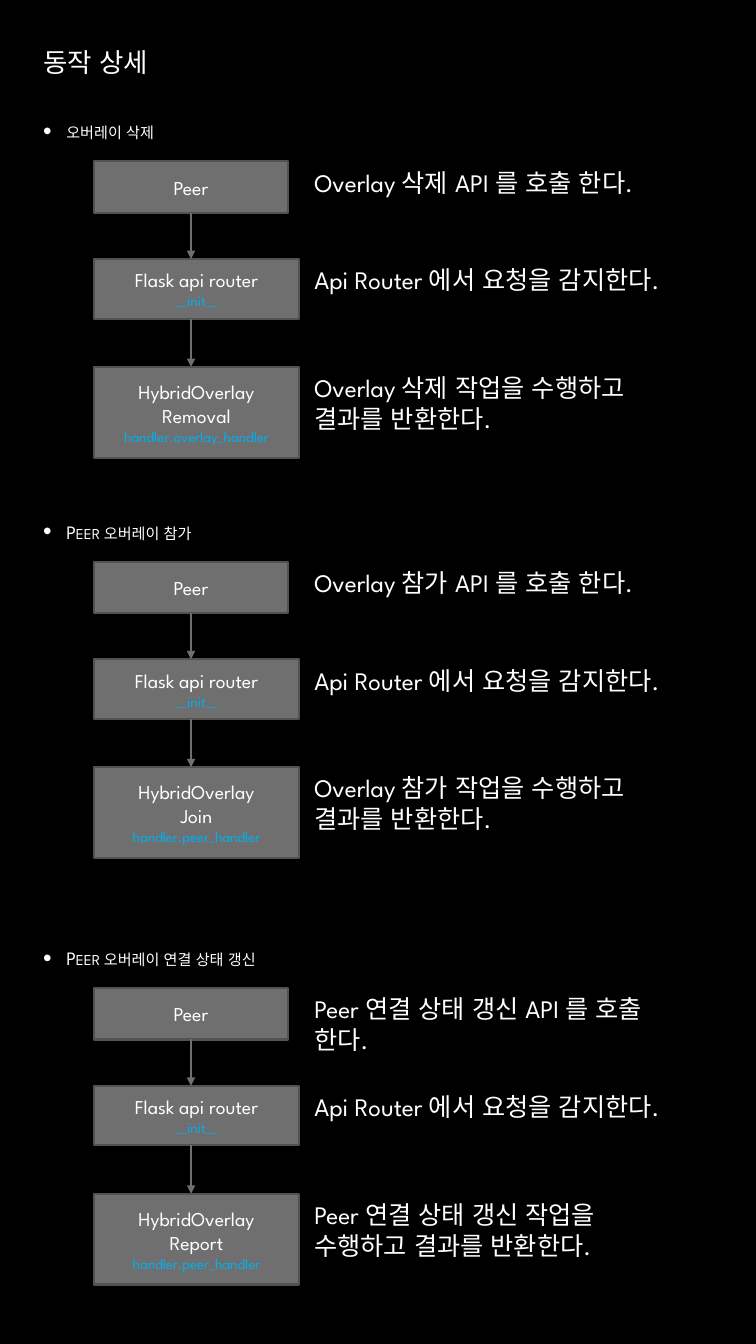
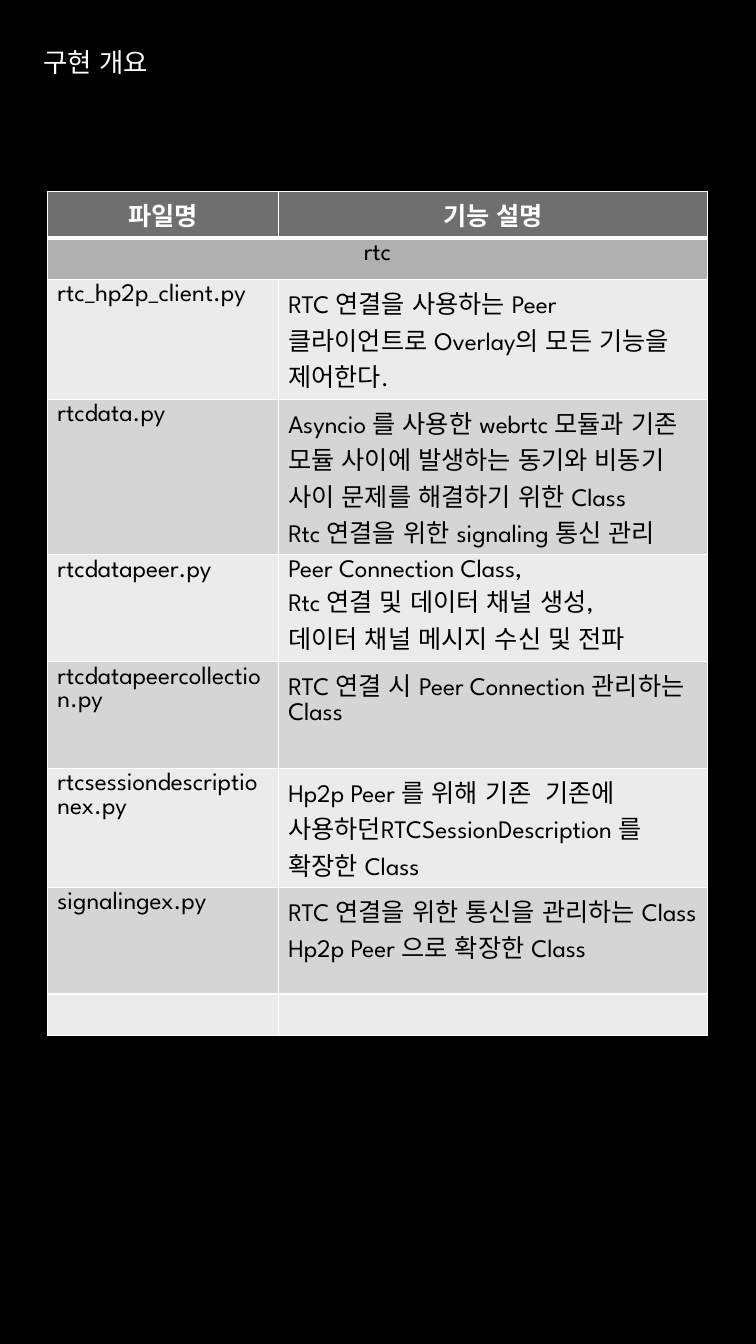
import dataclasses

import pptx
import pptx.dml.color
import pptx.enum.dml
import pptx.enum.lang
import pptx.enum.shapes
import pptx.enum.text
import pptx.oxml
import pptx.oxml.ns
import pptx.util

LATIN = "League Spartan"
KOREAN = "Noto Sans CJK KR"
WHITE, BLACK, GRAY, EDGE, CYAN = "FFFFFF", "000000", "6F6F6F", "525252", "00B0F0"
BAND_FILLS = ("EBEBEB", "D5D5D5")
SIDE, CONTENT_WIDTH = 0.33, 6.86
BOX_LEFT, NOTE_LEFT = 0.93, 3.02
PEER_WIDTH, BOX_WIDTH, NOTE_WIDTH = 1.93, 2.04, 3.95
ARROW_X = BOX_LEFT + PEER_WIDTH / 2
LINE_FACTOR = 1.22
HEADER_HEIGHT, ROW_HEIGHT = 0.46, 0.41
ALIGN = pptx.enum.text.PP_ALIGN
ANCHOR = pptx.enum.text.MSO_ANCHOR


@dataclasses.dataclass(frozen=True)
class Section:
    top: float
    heading: str
    action: str
    module: str
    call: str
    result: str


@dataclasses.dataclass(frozen=True)
class Step:
    offset: float
    width: float
    height: float
    labels: tuple[str, ...]
    module: str
    note: str


@dataclasses.dataclass(frozen=True)
class FileRow:
    name: str
    purposes: tuple[str, ...]
    height: float = ROW_HEIGHT


SECTIONS = (
    Section(1.14, "오버레이 삭제", "Removal", "handler.overlay_handler",
            "Overlay 삭제 API 를 호출 한다.", "Overlay 삭제 작업을 수행하고 결과를 반환한다."),
    Section(5.11, "Peer 오버레이 참가", "Join", "handler.peer_handler",
            "Overlay 참가 API 를 호출 한다.", "Overlay 참가 작업을 수행하고 결과를 반환한다."),
    Section(9.34, "Peer 오버레이 연결 상태 갱신", "Report", "handler.peer_handler",
            "Peer 연결 상태 갱신 API 를 호출 한다.",
            "Peer 연결 상태 갱신 작업을 수행하고 결과를 반환한다."),
)

FILES = (
    FileRow("rtc_hp2p_client.py",
            ("RTC 연결을 사용하는 Peer 클라이언트로 Overlay의 모든 기능을 제어한다.",), 1.19),
    FileRow("rtcdata.py",
            ("Asyncio 를 사용한 webrtc 모듈과 기존 모듈 사이에 발생하는 동기와 비동기 "
             "사이 문제를 해결하기 위한 Class",
             "Rtc 연결을 위한 signaling 통신 관리"), 1.54),
    FileRow("rtcdatapeer.py",
            ("Peer Connection Class,", "Rtc 연결 및 데이터 채널 생성,",
             "데이터 채널 메시지 수신 및 전파"), 1.06),
    FileRow("rtcdatapeercollection.py",
            ("RTC 연결 시 Peer Connection 관리하는 Class",), 1.06),
    FileRow("rtcsessiondescriptionex.py",
            ("Hp2p Peer 를 위해 기존  기존에 사용하던RTCSessionDescription 를 확장한 Class",),
            1.18),
    FileRow("signalingex.py",
            ("RTC 연결을 위한 통신을 관리하는 Class", "Hp2p Peer 으로 확장한 Class"), 1.06),
    FileRow("", ()),
)


def inches(value: float) -> pptx.util.Length:
    return pptx.util.Inches(value)


def points(value: float) -> pptx.util.Length:
    return pptx.util.Pt(value)


def color(value: str) -> pptx.dml.color.RGBColor:
    return pptx.dml.color.RGBColor.from_string(value)


def add_xml(parent, tag: str, **attributes: str):
    child = parent.makeelement(pptx.oxml.ns.qn(tag), attributes)
    parent.append(child)
    return child


def write(frame, text: str, *, size: float = 18, fill: str = WHITE, latin: str = LATIN,
          bold: bool = False, align=None, exact: bool = False):
    paragraph = frame.paragraphs[0]
    if paragraph.runs:
        paragraph = frame.add_paragraph()
    paragraph.alignment = align
    if exact:
        paragraph.line_spacing = points(round(size * LINE_FACTOR, 1))
    run = paragraph.add_run()
    run.text = text
    run.font.size = points(size)
    run.font.bold = bold
    run.font.name = latin
    run.font.color.rgb = color(fill)
    run.font.language_id = pptx.enum.lang.MSO_LANGUAGE_ID.KOREAN
    add_xml(run.font._element, "a:ea", typeface=KOREAN)
    return paragraph


def add_text_frame(slide, left: float, top: float, width: float, height: float):
    shape = slide.shapes.add_textbox(inches(left), inches(top), inches(width), inches(height))
    shape.text_frame.word_wrap = True
    return shape.text_frame


def add_slide(presentation, title: str):
    slide = presentation.slides.add_slide(presentation.slide_layouts[6])
    slide.background.fill.solid()
    slide.background.fill.fore_color.rgb = color(BLACK)
    frame = add_text_frame(slide, SIDE, 0.4, CONTENT_WIDTH, 0.42)
    frame.vertical_anchor = ANCHOR.MIDDLE
    write(frame, title, size=18.9, latin=KOREAN)
    return slide


def add_heading(slide, section: Section) -> None:
    frame = add_text_frame(slide, SIDE, section.top, CONTENT_WIDTH, 0.4)
    paragraph = write(frame, section.heading, size=13.5)
    paragraph.space_before, paragraph.space_after = points(2.7), points(4.5)
    paragraph.runs[0].font._element.set("cap", "small")
    properties = paragraph._p.get_or_add_pPr()
    properties.set("marL", str(inches(0.23)))
    properties.set("indent", str(-inches(0.23)))
    add_xml(add_xml(properties, "a:buClr"), "a:srgbClr", val=WHITE)
    add_xml(properties, "a:buSzPct", val="130000")
    add_xml(properties, "a:buFont", typeface="Arial")
    add_xml(properties, "a:buChar", char="•")


def add_step(slide, step: Step, section_top: float):
    top = section_top + step.offset
    box = slide.shapes.add_shape(
        pptx.enum.shapes.MSO_SHAPE.RECTANGLE,
        inches(BOX_LEFT), inches(top), inches(step.width), inches(step.height))
    box.shadow.inherit = False
    box.fill.solid()
    box.fill.fore_color.rgb = color(GRAY)
    box.line.color.rgb = color(EDGE)
    box.line.width = points(1.5)
    box.text_frame.vertical_anchor = ANCHOR.MIDDLE
    for label in step.labels:
        write(box.text_frame, label, size=14, align=ALIGN.CENTER, exact=True)
    if step.module:
        write(box.text_frame, step.module, size=10.5, fill=CYAN, align=ALIGN.CENTER, exact=True)
    note = add_text_frame(slide, NOTE_LEFT, top, NOTE_WIDTH, 0.4)
    write(note, step.note, exact=True)
    return box


def add_arrow(slide, upper, lower):
    arrow = slide.shapes.add_connector(
        pptx.enum.shapes.MSO_CONNECTOR.STRAIGHT,
        inches(ARROW_X), upper.top + upper.height, inches(ARROW_X), lower.top)
    arrow.line.color.rgb = color(GRAY)
    arrow.line.width = points(2)
    add_xml(arrow.line._get_or_add_ln(), "a:tailEnd", type="triangle")
    add_xml(arrow._element.spPr, "a:effectLst")
    return arrow


def add_section(slide, section: Section) -> None:
    add_heading(slide, section)
    steps = (
        Step(0.46, PEER_WIDTH, 0.51, ("Peer",), "", section.call),
        Step(1.43, BOX_WIDTH, 0.59, ("Flask api router",), "__init__",
             "Api Router 에서 요청을 감지한다."),
        Step(2.5, BOX_WIDTH, 0.9, ("HybridOverlay", section.action), section.module,
             section.result),
    )
    peer, router, handler = [add_step(slide, step, section.top) for step in steps]
    add_arrow(slide, peer, router).begin_connect(peer, 2)
    add_arrow(slide, router, handler)


def style_cell(cell, fill: str, bottom: float = 1, top: float = 1) -> None:
    properties = cell._tc.get_or_add_tcPr()
    for side, width in (("L", 1), ("R", 1), ("T", top), ("B", bottom)):
        line = add_xml(properties, f"a:ln{side}", w=str(points(width)))
        add_xml(add_xml(line, "a:solidFill"), "a:srgbClr", val=WHITE)
    cell.fill.solid()
    cell.fill.fore_color.rgb = color(fill)


def add_file_table(slide) -> None:
    widths = (2.29, 4.26)
    heights = (HEADER_HEIGHT, ROW_HEIGHT, *(row.height for row in FILES))
    table = slide.shapes.add_table(
        len(heights), len(widths), inches(0.47), inches(1.9),
        inches(sum(widths)), inches(sum(heights))).table
    for column, width in zip(table.columns, widths):
        column.width = inches(width)
    for row, height in zip(table.rows, heights):
        row.height = inches(height)
    for index, label in enumerate(("파일명", "기능 설명")):
        style_cell(table.cell(0, index), GRAY, bottom=3)
        write(table.cell(0, index).text_frame, label, bold=True, align=ALIGN.CENTER)
        style_cell(table.cell(1, index), "B0B0B0", top=3)
    table.cell(1, 0).merge(table.cell(1, 1))
    write(table.cell(1, 0).text_frame, "rtc", fill=BLACK, align=ALIGN.CENTER)
    for index, row in enumerate(FILES):
        for column, texts in enumerate(((row.name,), row.purposes)):
            cell = table.cell(index + 2, column)
            style_cell(cell, BAND_FILLS[index % 2])
            for text in filter(None, texts):
                write(cell.text_frame, text, fill=BLACK)


def main() -> None:
    presentation = pptx.Presentation()
    presentation.slide_width, presentation.slide_height = inches(7.5), inches(13.33)
    detail = add_slide(presentation, "동작 상세")
    for section in SECTIONS:
        add_section(detail, section)
    add_file_table(add_slide(presentation, "구현 개요"))
    presentation.save("out.pptx")


if __name__ == "__main__":
    main()
